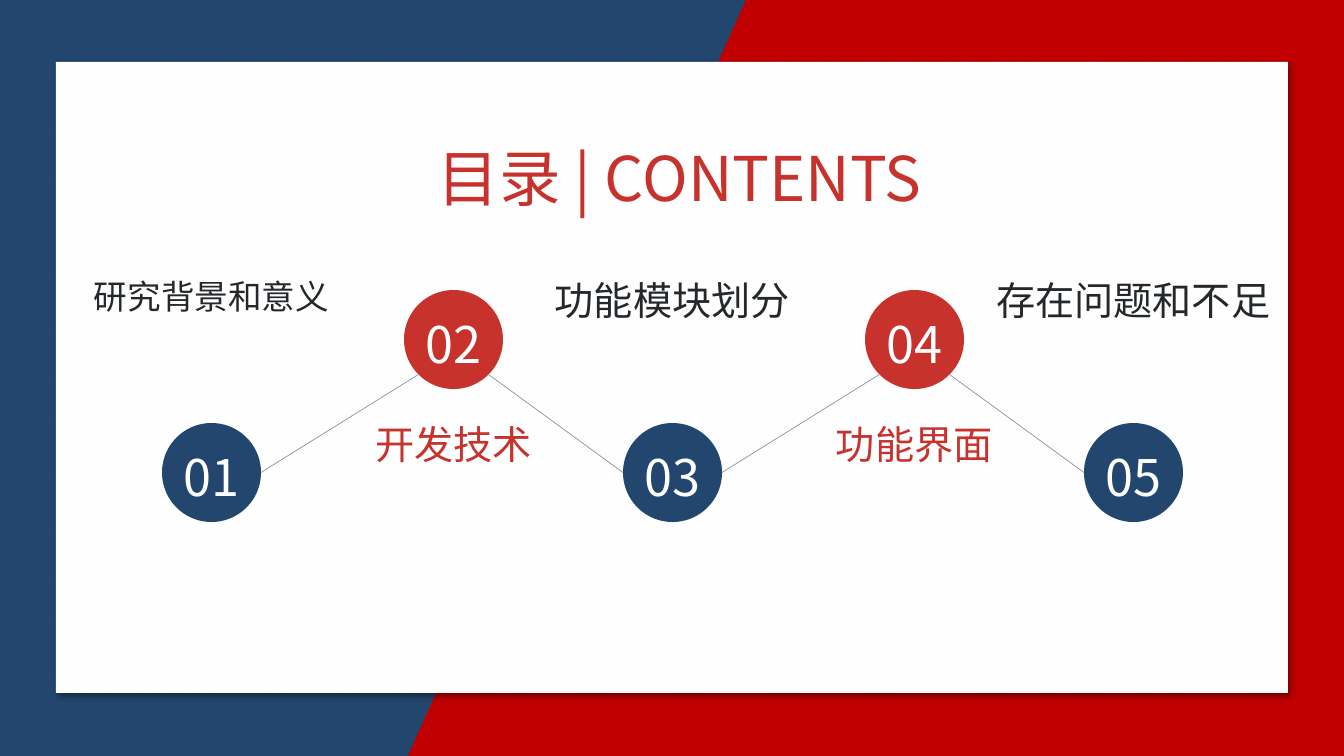
from dataclasses import dataclass
from itertools import pairwise

from lxml import etree
from pptx import Presentation
from pptx.dml.color import RGBColor
from pptx.enum.dml import MSO_PATTERN
from pptx.enum.shapes import MSO_CONNECTOR, MSO_SHAPE
from pptx.enum.text import MSO_ANCHOR, MSO_AUTO_SIZE, PP_ALIGN
from pptx.oxml import parse_xml
from pptx.oxml.ns import nsdecls, qn
from pptx.util import Pt

RECTANGLE, CIRCLE = MSO_SHAPE.RECTANGLE, MSO_SHAPE.OVAL
STRAIGHT = MSO_CONNECTOR.STRAIGHT
STRIPES = MSO_PATTERN.WIDE_UPWARD_DIAGONAL
LEFT, CENTER = PP_ALIGN.LEFT, PP_ALIGN.CENTER
MIDDLE = MSO_ANCHOR.MIDDLE
FIT_SHAPE = MSO_AUTO_SIZE.SHAPE_TO_FIT_TEXT

EMU_PER_PX = 914400 / 100.8
PX_PER_PT = 1.4
SLIDE_WIDTH, SLIDE_HEIGHT = 1344, 756
TITLE_ONLY = 5

DIAMETER = 99
CIRCLE_STEP = 461
LOW_LEFT, LOW_TOP = 162, 423
HIGH_LEFT, HIGH_TOP = 404, 290
LOW_LABEL_TOP, HIGH_LABEL_TOP = 271, 415
LABEL_INSETS = 20


@dataclass(frozen=True)
class Theme:
    font: str = "Noto Sans CJK SC"
    blue: str = "23466E"
    deep_red: str = "C00000"
    red: str = "C8322D"
    dark: str = "25282B"
    white: str = "FFFFFF"
    stripe: str = "F8FCFE"
    gray: str = "8B939C"
    title_size: int = 44
    number_size: int = 36
    label_size: int = 28
    small_label_size: int = 24
    line_width: float = 0.5


def px(length):
    return round(length * EMU_PER_PX)


def rgb(value):
    return RGBColor.from_string(value)


def set_all(target, values):
    for name, value in values.items():
        setattr(target, name, value)


class SlideBuilder:
    def __init__(self, page, theme):
        self.page = page
        self.theme = theme

    def add_text(self, box, text, size, color, align):
        para = box.text_frame.paragraphs[0]
        para.alignment = align
        span = para.add_run()
        span.text = text
        set_all(span.font, {"name": self.theme.font, "size": Pt(size), "bold": False})
        span.font.color.rgb = rgb(color)
        east_asian = etree.SubElement(span.font._element, qn("a:ea"))
        east_asian.set("typeface", self.theme.font)
        span.font._element.find(qn("a:latin")).addnext(east_asian)

    def paint(self, shape, color):
        shape.shadow.inherit = False
        shape.fill.solid()
        shape.fill.fore_color.rgb = rgb(color)
        shape.line.fill.background()
        return shape

    def shape(self, kind, left, top, width, height, color):
        box = self.page.shapes.add_shape(kind, px(left), px(top), px(width), px(height))
        return self.paint(box, color)

    def polygon(self, points, color):
        outline = self.page.shapes.build_freeform(*points[0], scale=EMU_PER_PX)
        outline.add_line_segments(points[1:], close=True)
        self.paint(outline.convert_to_shape(), color)

    def card(self, left, top, width, height):
        """Add the striped white panel with its soft shadow."""
        panel = self.shape(RECTANGLE, left, top, width, height, self.theme.white)
        panel.fill.patterned()
        panel.fill.pattern = STRIPES
        panel.fill.fore_color.rgb = rgb(self.theme.stripe)
        panel.fill.back_color.rgb = rgb(self.theme.white)
        effects = panel._element.spPr.find(qn("a:effectLst"))
        effects.append(parse_xml(
            f'<a:outerShdw {nsdecls("a")} blurRad="{Pt(4)}" dist="{Pt(3)}" dir="2700000"'
            ' algn="tl" rotWithShape="0"><a:srgbClr val="000000">'
            '<a:alpha val="40000"/></a:srgbClr></a:outerShdw>'))

    def title(self, text, left, top, width, height):
        box = self.page.shapes.title
        set_all(box, {"left": px(left), "top": px(top),
                      "width": px(width), "height": px(height)})
        set_all(box.text_frame, {"word_wrap": False, "auto_size": FIT_SHAPE})
        self.add_text(box, text, self.theme.title_size, self.theme.red, CENTER)
        self.page.shapes._spTree.append(box._element)  # in front of the card

    def number(self, text, left, top, color):
        circle = self.shape(CIRCLE, left, top, DIAMETER, DIAMETER, color)
        set_all(circle.text_frame, {
            "margin_left": 0, "margin_right": 0, "margin_bottom": 0,
            "margin_top": px(8), "vertical_anchor": MIDDLE})
        self.add_text(circle, text, self.theme.number_size, self.theme.white, CENTER)

    def label(self, text, center, top, size, color):
        width = len(text) * size * PX_PER_PT + LABEL_INSETS
        height = 57 if size == self.theme.label_size else 50
        box = self.page.shapes.add_textbox(
            px(center - width / 2), px(top), px(width), px(height))
        set_all(box.text_frame, {"word_wrap": False, "auto_size": FIT_SHAPE})
        self.add_text(box, text, size, color, LEFT)

    def line(self, start, end):
        link = self.page.shapes.add_connector(
            STRAIGHT, *(px(value) for value in (*start, *end)))
        link.line.color.rgb = rgb(self.theme.gray)
        link.line.width = Pt(self.theme.line_width)
        etree.SubElement(link._element.spPr, qn("a:effectLst"))


def link_ends(left_circle, right_circle):
    """Join a low circle's side to a high circle's lower diagonal point."""
    radius = DIAMETER / 2
    diagonal = radius * 0.5 ** 0.5
    (left, left_top), (right, right_top) = left_circle, right_circle
    if left_top > right_top:
        return ((left + DIAMETER, left_top + radius),
                (right + radius - diagonal, right_top + radius + diagonal))
    return ((left + radius + diagonal, left_top + radius + diagonal),
            (right, right_top + radius))


def main():
    deck = Presentation()
    set_all(deck, {"slide_width": px(SLIDE_WIDTH), "slide_height": px(SLIDE_HEIGHT)})
    theme = Theme()
    slide = SlideBuilder(deck.slides.add_slide(deck.slide_layouts[TITLE_ONLY]), theme)

    slide.shape(RECTANGLE, 0, 0, 949, SLIDE_HEIGHT, theme.blue)
    slide.polygon([(746, 0), (408, SLIDE_HEIGHT), (SLIDE_WIDTH, SLIDE_HEIGHT),
                   (SLIDE_WIDTH, 0)], theme.deep_red)
    slide.card(56, 62, 1232, 631)
    slide.title("目录 | CONTENTS", 410, 134, 539, 85)

    chapters = [
        ("研究背景和意义", theme.small_label_size),
        ("开发技术", theme.label_size),
        ("功能模块划分", theme.label_size),
        ("功能界面", theme.label_size),
        ("存在问题和不足", theme.label_size),
    ]
    circles = []
    for index, (text, size) in enumerate(chapters):
        pair, is_high = divmod(index, 2)
        if is_high:
            left, top, label_top = HIGH_LEFT, HIGH_TOP, HIGH_LABEL_TOP
            circle_color = label_color = theme.red
        else:
            left, top, label_top = LOW_LEFT, LOW_TOP, LOW_LABEL_TOP
            circle_color, label_color = theme.blue, theme.dark
        left += pair * CIRCLE_STEP
        slide.number(f"{index + 1:02}", left, top, circle_color)
        slide.label(text, left + DIAMETER / 2, label_top, size, label_color)
        circles.append((left, top))

    for left_circle, right_circle in pairwise(circles):
        slide.line(*link_ends(left_circle, right_circle))

    deck.save("out.pptx")


if __name__ == "__main__":
    main()
